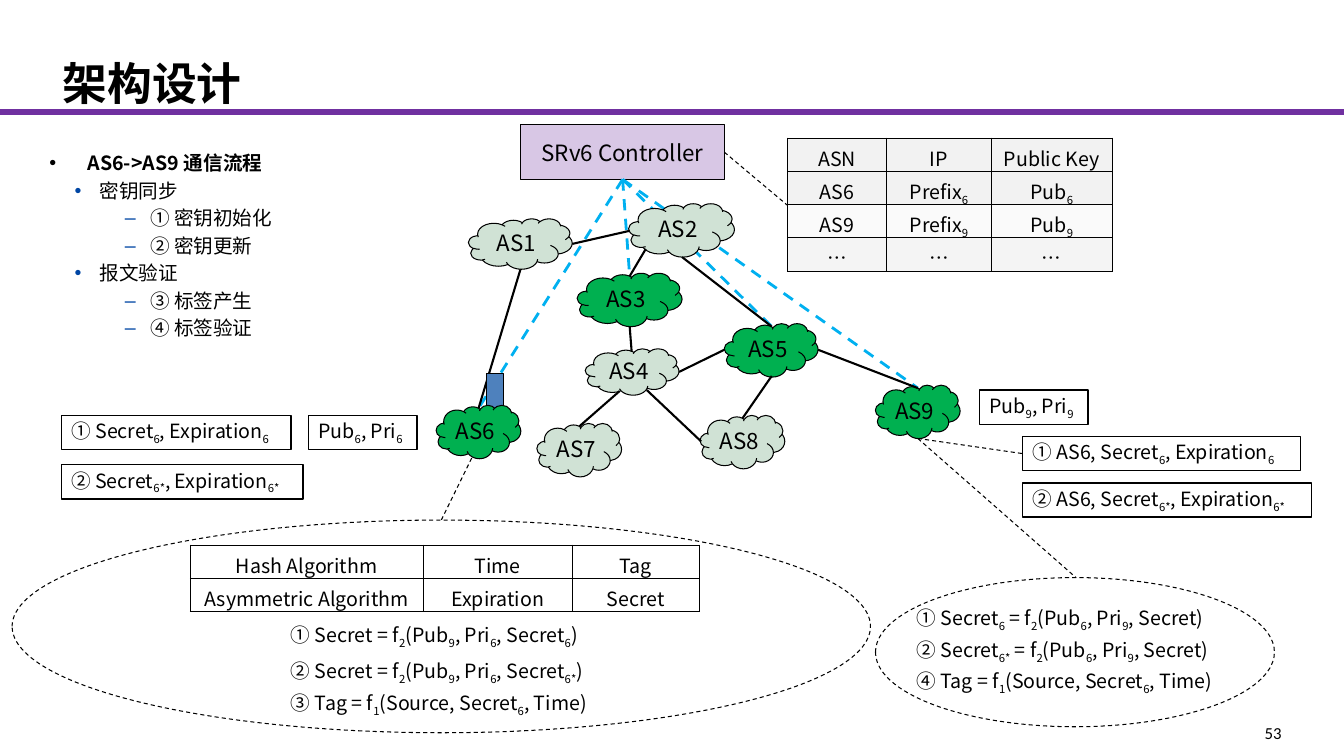
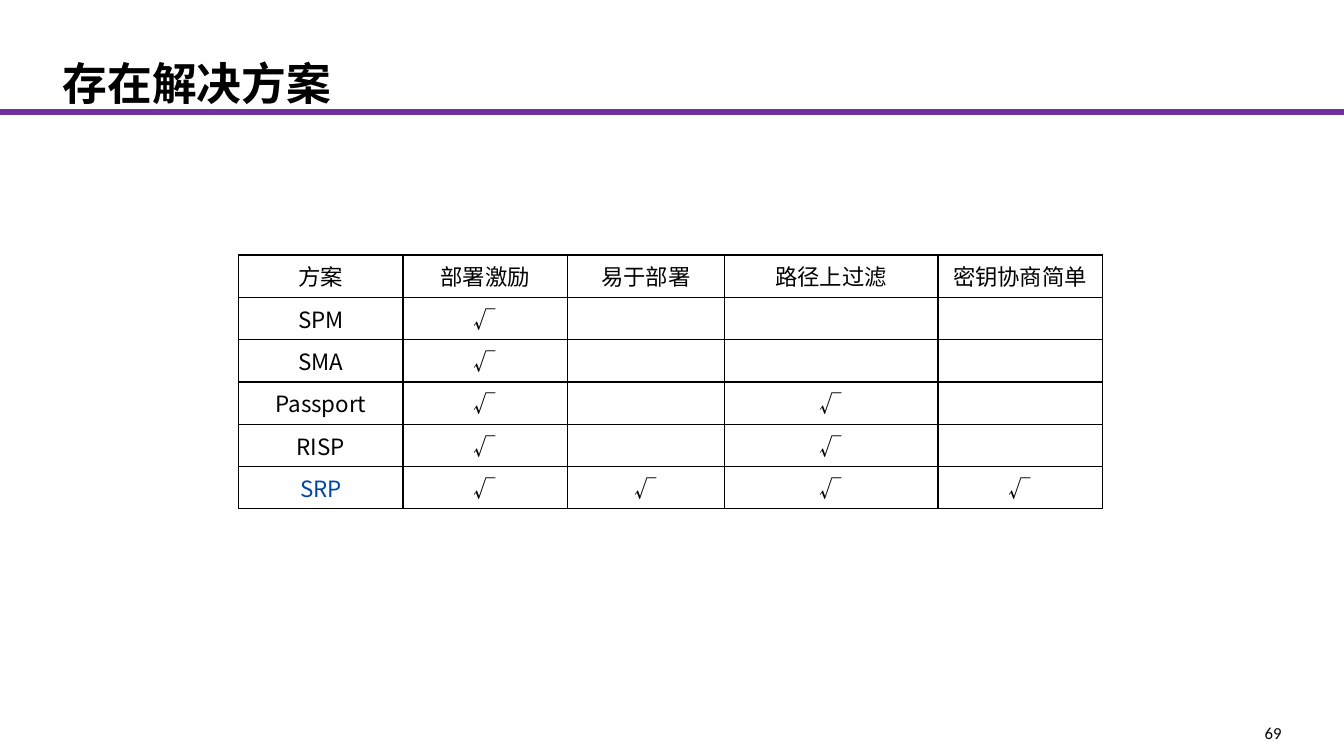
from pptx import Presentation
from pptx.dml.color import RGBColor
from pptx.enum.dml import MSO_LINE
from pptx.enum.shapes import MSO_CONNECTOR, MSO_SHAPE
from pptx.enum.text import MSO_ANCHOR, PP_ALIGN
from pptx.oxml.ns import qn
from pptx.util import Inches, Pt
from lxml.etree import SubElement

COLORS = {
    "black": "000000", "white": "FFFFFF", "purple": "7030A0", "lilac": "D8C7E5",
    "blue": "0046A4", "sky": "00B0F0", "steel": "4E81BD", "sage": "D0E2D5",
    "green": "00B050", "gray": "F2F2F2", "pale": "FAFAFA", "light": "F4F4F4",
}
FONT = "Noto Sans CJK SC"

OUTLINE = [
    (0, "AS6->AS9 通信流程"),
    (1, "密钥同步"), (2, "① 密钥初始化"), (2, "② 密钥更新"),
    (1, "报文验证"), (2, "③ 标签产生"), (2, "④ 标签验证"),
]
LEVELS = [
    {"left": 0.38, "hang": 0.38, "bullet": "•", "color": "black"},
    {"left": 0.5, "hang": 0.25, "bullet": "•", "color": "blue"},
    {"left": 1, "hang": 0.25, "bullet": "–", "color": "blue"},
]
CLOUDS = [
    ("AS1", 4.65, 2.17, 1.03, 0.5, "sage"),
    ("AS2", 6.24, 2.02, 1.05, 0.53, "sage"),
    ("AS4", 5.81, 3.46, 0.93, 0.46, "sage"),
    ("AS3", 5.73, 2.71, 1.04, 0.53, "green"),
    ("AS5", 7.19, 3.21, 0.93, 0.53, "green"),
    ("AS6", 4.33, 4.02, 0.84, 0.53, "green"),
    ("AS7", 5.33, 4.2, 0.84, 0.53, "sage"),
    ("AS8", 6.95, 4.12, 0.84, 0.53, "sage"),
    ("AS9", 8.69, 3.82, 0.84, 0.53, "green"),
]
CONTROL_ENDS = [(9.11, 3.85), (7.66, 3.24), (6.25, 2.74), (4.75, 4.05)]
CALLOUTS = [(9.11, 4.35, 10.68, 5.73), (4.38, 5.16, 4.91, 4.08)]
LINKS = [
    (5.68, 2.42, 6.25, 2.29), (6.15, 3.88, 5.75, 4.23), (6.42, 3.87, 6.96, 4.38),
    (6.25, 3.24, 6.27, 3.49), (7.19, 3.47, 6.74, 3.69), (6.77, 2.55, 7.66, 3.24),
    (7.37, 4.15, 7.66, 3.73), (9.11, 3.85, 8.12, 3.47), (6.25, 2.74, 6.41, 2.47),
]
KEY_BOXES = [
    ("Pub|6|, Pri|6|", 3.06, 4.12, 1.08),
    ("Pub|9|, Pri|9|", 9.72, 3.87, 1.08),
    ("① Secret|6|, Expiration|6|", 0.61, 4.12, 2.28),
    ("② Secret|6*|, Expiration|6*|", 0.61, 4.61, 2.4),
    ("② AS6, Secret|6*|, Expiration|6*|", 10.15, 4.79, 2.87),
]
SYNC_BOX = ("① AS6, Secret|6|, Expiration|6|", 10.15, 4.33, 2.76)
FORMULAS = [
    ("① Secret = f|2|(Pub|9|, Pri|6|, Secret|6|)", 2.79, 6.14, 3.33),
    ("② Secret = f|2|(Pub|9|, Pri|6|, Secret|6*|)", 2.79, 6.5, 3.33),
    ("③ Tag = f|1|(Source, Secret|6|, Time)", 2.79, 6.82, 3.33),
    ("① Secret|6| = f|2|(Pub|6|, Pri|9|, Secret)", 9, 5.97, 3.39),
    ("② Secret|6*| = f|2|(Pub|6|, Pri|9|, Secret)", 9, 6.29, 3.39),
    ("④ Tag = f|1|(Source, Secret|6|, Time)", 9, 6.6, 3.39),
]
ELLIPSES = [(0.12, 5.16, 8.52, 2.11), (8.69, 5.73, 3.96, 1.48)]
KEY_TABLE = [
    ["ASN", "IP", "Public Key"],
    ["AS6", "Prefix|6|", "Pub|6|"],
    ["AS9", "Prefix|9|", "Pub|9|"],
    ["…", "…", "…"],
]
ALGORITHM_TABLE = [
    ["Hash Algorithm", "Time", "Tag"],
    ["Asymmetric Algorithm", "Expiration", "Secret"],
]
SCHEME_TABLE = [
    ["方案", "部署激励", "易于部署", "路径上过滤", "密钥协商简单"],
    ["SPM", "√", "", "", ""],
    ["SMA", "√", "", "", ""],
    ["Passport", "√", "", "√", ""],
    ["RISP", "√", "", "√", ""],
    ["SRP", "√", "√", "√", "√"],
]


def rgb(name):
    return RGBColor.from_string(COLORS[name])


def write(p, text, size, color="black", bold=False, font=FONT):
    for i, part in enumerate(text.split("|")):
        if not part:
            continue
        r = p.add_run()
        r.text = part
        r.font.size = Pt(size)
        r.font.bold = bold
        r.font.name = font
        r.font.color.rgb = rgb(color)
        rPr = r.font._element
        SubElement(rPr, qn("a:ea")).set("typeface", font)
        if i % 2:
            rPr.set("baseline", "-25000")


def set_margins(tf, left, top, right, bottom):
    tf.margin_left, tf.margin_top = Inches(left), Inches(top)
    tf.margin_right, tf.margin_bottom = Inches(right), Inches(bottom)


def add_line(s, x1, y1, x2, y2, width, color="black", dashed=False):
    line = s.shapes.add_connector(
        MSO_CONNECTOR.STRAIGHT, Inches(x1), Inches(y1), Inches(x2), Inches(y2))
    line.line.color.rgb = rgb(color)
    line.line.width = Pt(width)
    if dashed:
        line.line.dash_style = MSO_LINE.DASH
    SubElement(line._element.spPr, qn("a:effectLst"))
    return line


def add_figure(s, kind, x, y, w, h, fill=None, width=0.75, dashed=False, label=""):
    sp = s.shapes.add_shape(kind, Inches(x), Inches(y), Inches(w), Inches(h))
    sp.shadow.inherit = False
    if fill:
        sp.fill.solid()
        sp.fill.fore_color.rgb = rgb(fill)
    else:
        sp.fill.background()
    sp.line.color.rgb = rgb("black")
    sp.line.width = Pt(width)
    if dashed:
        sp.line.dash_style = MSO_LINE.DASH
    if label:
        tf = sp.text_frame
        tf.word_wrap = False
        tf.vertical_anchor = MSO_ANCHOR.MIDDLE
        tf.paragraphs[0].alignment = PP_ALIGN.CENTER
        write(tf.paragraphs[0], label, 16)
    return sp


def add_text(s, text, x, y, w, framed=False):
    sp = s.shapes.add_textbox(Inches(x), Inches(y), Inches(w), Inches(0.34))
    tf = sp.text_frame
    tf.word_wrap = True
    tf.vertical_anchor = MSO_ANCHOR.MIDDLE
    set_margins(tf, 0.1, 0.05, 0, 0.05)
    write(tf.paragraphs[0], text, 14)
    if framed:
        sp.line.color.rgb = rgb("black")
        sp.line.width = Pt(1)
    return sp


def add_grid(s, rows, x, y, widths, height, size, fills, bottom=0.05, accents=()):
    frame = s.shapes.add_table(len(rows), len(widths), Inches(x), Inches(y),
                               Inches(sum(widths)), Inches(height * len(rows)))
    table = frame.table
    table.first_row = table.horz_banding = False
    for col, w in zip(table.columns, widths):
        col.width = Inches(w)
    for row, texts, fill in zip(table.rows, rows, fills):
        row.height = Inches(height)
        for cell, text in zip(row.cells, texts):
            cell.margin_bottom = Inches(bottom)
            p = cell.text_frame.paragraphs[0]
            p.alignment = PP_ALIGN.CENTER
            write(p, text, size, "blue" if text in accents else "black")
            tcPr = cell._tc.get_or_add_tcPr()
            for side in ("lnL", "lnR", "lnT", "lnB"):
                ln = SubElement(tcPr, qn(f"a:{side}"), w=str(Pt(1)))
                paint = SubElement(ln, qn("a:solidFill"))
                SubElement(paint, qn("a:srgbClr"), val=COLORS["black"])
            if fill:
                cell.fill.solid()
                cell.fill.fore_color.rgb = rgb(fill)
            else:
                cell.fill.background()


def add_outline(s):
    box = s.shapes.add_textbox(Inches(0.49), Inches(1.5), Inches(2.37), Inches(2.38))
    tf = box.text_frame
    tf.word_wrap = True
    set_margins(tf, 0, 0, 0, 0)
    for i, (level, text) in enumerate(OUTLINE):
        p = tf.add_paragraph() if i else tf.paragraphs[0]
        if i:
            p.space_before = Pt(2.8)
        style = LEVELS[level]
        pPr = p._p.get_or_add_pPr()
        pPr.set("marL", str(Inches(style["left"])))
        pPr.set("indent", str(-Inches(style["hang"])))
        paint = SubElement(pPr, qn("a:buClr"))
        SubElement(paint, qn("a:srgbClr"), val=COLORS[style["color"]])
        SubElement(pPr, qn("a:buFont"), typeface="Arial")
        SubElement(pPr, qn("a:buChar"), char=style["bullet"])
        write(p, text, 14, bold=level == 0)


def new_slide(prs, title, number):
    s = prs.slides.add_slide(prs.slide_layouts[5])
    sp = s.shapes.title
    sp.left, sp.top, sp.width, sp.height = map(Inches, (0.62, 0.23, 12.11, 0.91))
    tf = sp.text_frame
    tf.vertical_anchor = MSO_ANCHOR.BOTTOM
    set_margins(tf, 0, 0.05, 0, 0.05)
    tf.paragraphs[0].alignment = PP_ALIGN.LEFT
    write(tf.paragraphs[0], title, 32, bold=True)
    add_line(s, 0, 1.11, 13.34, 1.11, 4.25, "purple")
    box = s.shapes.add_textbox(Inches(12.22), Inches(7.17), Inches(0.5), Inches(0.15))
    set_margins(box.text_frame, 0, 0, 0, 0)
    box.text_frame.word_wrap = True
    p = box.text_frame.paragraphs[0]
    p.alignment = PP_ALIGN.RIGHT
    write(p, str(number), 12, font="Calibri")
    return s


def build_architecture(prs):
    s = new_slide(prs, "架构设计", 53)
    add_outline(s)
    controller = add_figure(s, MSO_SHAPE.RECTANGLE, 5.17, 1.24, 2.02, 0.54,
                            "lilac", label="SRv6 Controller")
    for x, y in CONTROL_ENDS:
        add_line(s, 6.18, 1.78, x, y, 2, "sky", True).begin_connect(controller, 2)
    add_line(s, 7.19, 1.51, 7.82, 2.04, 0.75, dashed=True).begin_connect(controller, 3)
    add_line(s, 5.17, 2.66, 4.75, 4.05, 1.5)
    for ends in CALLOUTS:
        add_line(s, *ends, 0.75, dashed=True)
    sync_box = add_text(s, *SYNC_BOX, framed=True)
    add_line(s, 9.11, 4.35, 10.15, 4.5, 0.75, dashed=True).end_connect(sync_box, 1)
    add_figure(s, MSO_SHAPE.RECTANGLE, 4.83, 3.71, 0.17, 0.37, "steel")
    for place in ELLIPSES:
        add_figure(s, MSO_SHAPE.OVAL, *place, "white", dashed=True)
    for name, x, y, w, h, fill in CLOUDS:
        add_figure(s, MSO_SHAPE.CLOUD, x, y, w, h, fill, label=name)
    for ends in LINKS:
        add_line(s, *ends, 1.5)
    for box in KEY_BOXES:
        add_text(s, *box, framed=True)
    for formula in FORMULAS:
        add_text(s, *formula)
    add_grid(s, KEY_TABLE, 7.82, 1.37, [0.98, 1.04, 1.2], 0.33, 14,
             ["gray", "gray", "pale", "light"], bottom=0)
    add_grid(s, ALGORITHM_TABLE, 1.89, 5.41, [2.31, 1.48, 1.26], 0.33, 14,
             [None, None], bottom=0)


def build_comparison(prs):
    s = new_slide(prs, "存在解决方案", 69)
    add_grid(s, SCHEME_TABLE, 2.37, 2.53, [1.63, 1.63, 1.56, 2.12, 1.63], 0.42, 16,
             ["white"] * len(SCHEME_TABLE), accents=("SRP",))


def main():
    prs = Presentation()
    prs.slide_width, prs.slide_height = Inches(13.34), Inches(7.5)
    build_architecture(prs)
    build_comparison(prs)
    prs.save("out.pptx")


if __name__ == "__main__":
    main()
